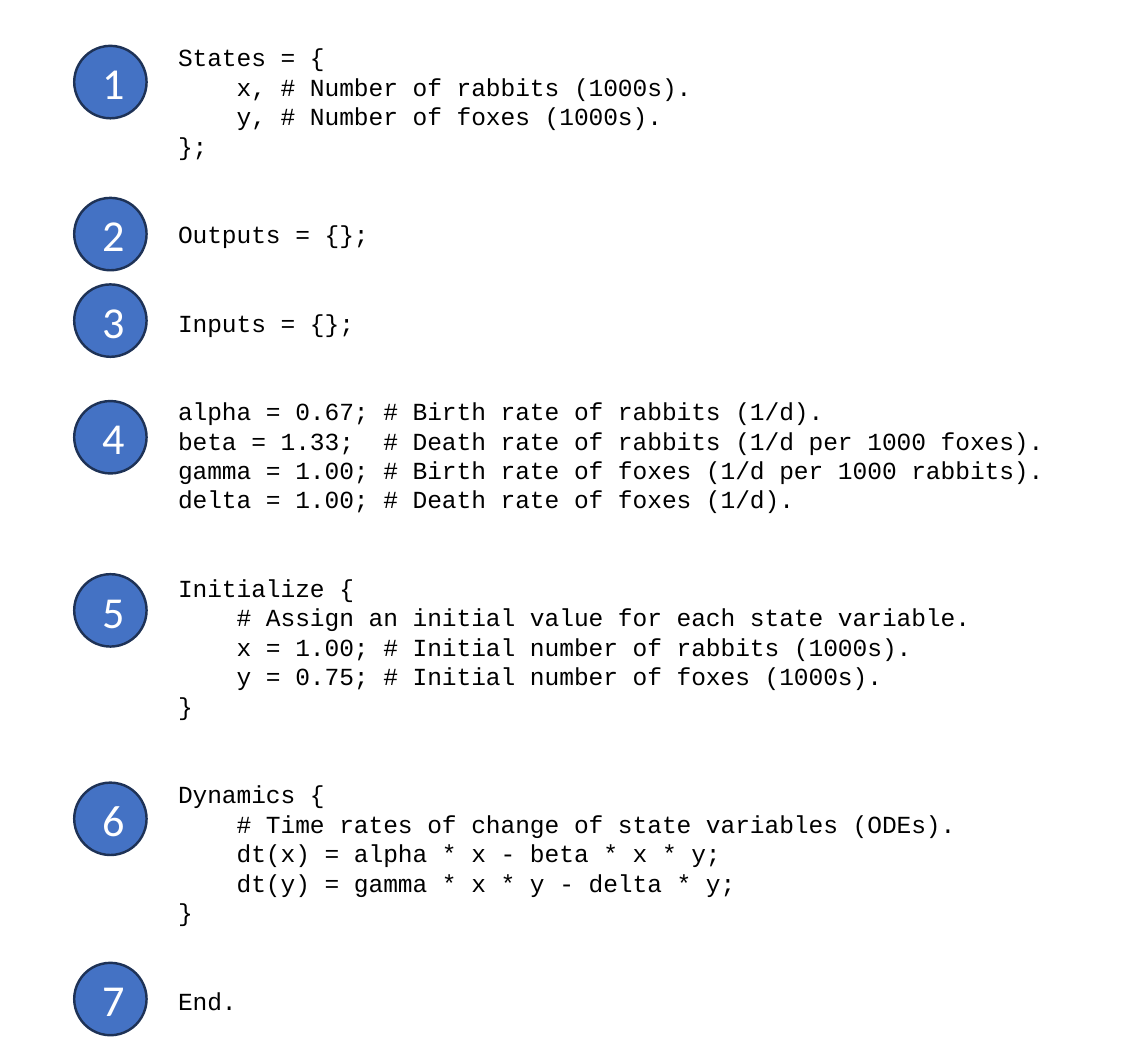
from dataclasses import dataclass

from pptx import Presentation
from pptx.dml.color import RGBColor
from pptx.enum.shapes import MSO_SHAPE
from pptx.enum.text import MSO_ANCHOR, MSO_AUTO_SIZE, PP_ALIGN
from pptx.util import Inches, Pt

OVAL = MSO_SHAPE.OVAL
CENTER = PP_ALIGN.CENTER
MIDDLE = MSO_ANCHOR.MIDDLE
FIT_TEXT = MSO_AUTO_SIZE.SHAPE_TO_FIT_TEXT


@dataclass(frozen=True)
class Theme:
    """Colours, fonts and sizes used on the slide."""
    code_color: RGBColor = RGBColor(0x00, 0x00, 0x00)
    badge_fill: RGBColor = RGBColor(0x44, 0x72, 0xC4)
    badge_line: RGBColor = RGBColor(0x1E, 0x32, 0x56)
    badge_text: RGBColor = RGBColor(0xFF, 0xFF, 0xFF)
    code_font: str = "Courier New"
    badge_font: str = "Calibri"
    code_size: Pt = Pt(10)
    badge_size: Pt = Pt(18)
    line_width: Pt = Pt(1)
    section_gap: Pt = Pt(24)


THEME = Theme()
BADGE_LEFT, BADGE_DIAMETER = 0.42, 0.41

SECTIONS = [
    (0.26, """States = {
    x, # Number of rabbits (1000s).
    y, # Number of foxes (1000s).
};"""),
    (1.12, "Outputs = {};"),
    (1.61, "Inputs = {};"),
    (2.27, """alpha = 0.67; # Birth rate of rabbits (1/d).
beta = 1.33;  # Death rate of rabbits (1/d per 1000 foxes).
gamma = 1.00; # Birth rate of foxes (1/d per 1000 rabbits).
delta = 1.00; # Death rate of foxes (1/d)."""),
    (3.25, """Initialize {
    # Assign an initial value for each state variable.
    x = 1.00; # Initial number of rabbits (1000s).
    y = 0.75; # Initial number of foxes (1000s).
}"""),
    (4.43, """Dynamics {
    # Time rates of change of state variables (ODEs).
    dt(x) = alpha * x - beta * x * y;
    dt(y) = gamma * x * y - delta * y;
}"""),
    (5.45, "End."),
]


def set_font(p, name, size, color):
    """Set the font of a whole paragraph."""
    p.font.name = name
    p.font.size = size
    p.font.color.rgb = color


def add_code(s, sections):
    """Add the listing, with a gap before each section but the first."""
    box = s.shapes.add_textbox(Inches(0.91), Inches(0.19), Inches(5.17), Inches(5.65))
    tf = box.text_frame
    tf.word_wrap = False
    tf.auto_size = FIT_TEXT
    for i, code in enumerate(sections):
        for j, line in enumerate(code.splitlines()):
            p = tf.add_paragraph() if i or j else tf.paragraphs[0]
            p.text = line
            if i and not j:
                p.space_before = THEME.section_gap
            set_font(p, THEME.code_font, THEME.code_size, THEME.code_color)


def add_badge(s, number, top):
    """Add a numbered circle beside a section."""
    sp = s.shapes.add_shape(OVAL, Inches(BADGE_LEFT), Inches(top),
                            Inches(BADGE_DIAMETER), Inches(BADGE_DIAMETER))
    sp.shadow.inherit = False
    sp.fill.solid()
    sp.fill.fore_color.rgb = THEME.badge_fill
    sp.line.color.rgb = THEME.badge_line
    sp.line.width = THEME.line_width
    tf = sp.text_frame
    tf.vertical_anchor = MIDDLE
    p = tf.paragraphs[0]
    p.text = str(number)
    p.alignment = CENTER
    set_font(p, THEME.badge_font, THEME.badge_size, THEME.badge_text)


def main():
    """Build the annotated model listing."""
    prs = Presentation()
    prs.slide_width, prs.slide_height = Inches(6.5), Inches(6)
    s = prs.slides.add_slide(prs.slide_layouts.get_by_name("Blank"))
    add_code(s, [code for _, code in SECTIONS])
    for number, (top, _) in enumerate(SECTIONS, start=1):
        add_badge(s, number, top)
    prs.save("out.pptx")


if __name__ == "__main__":
    main()
